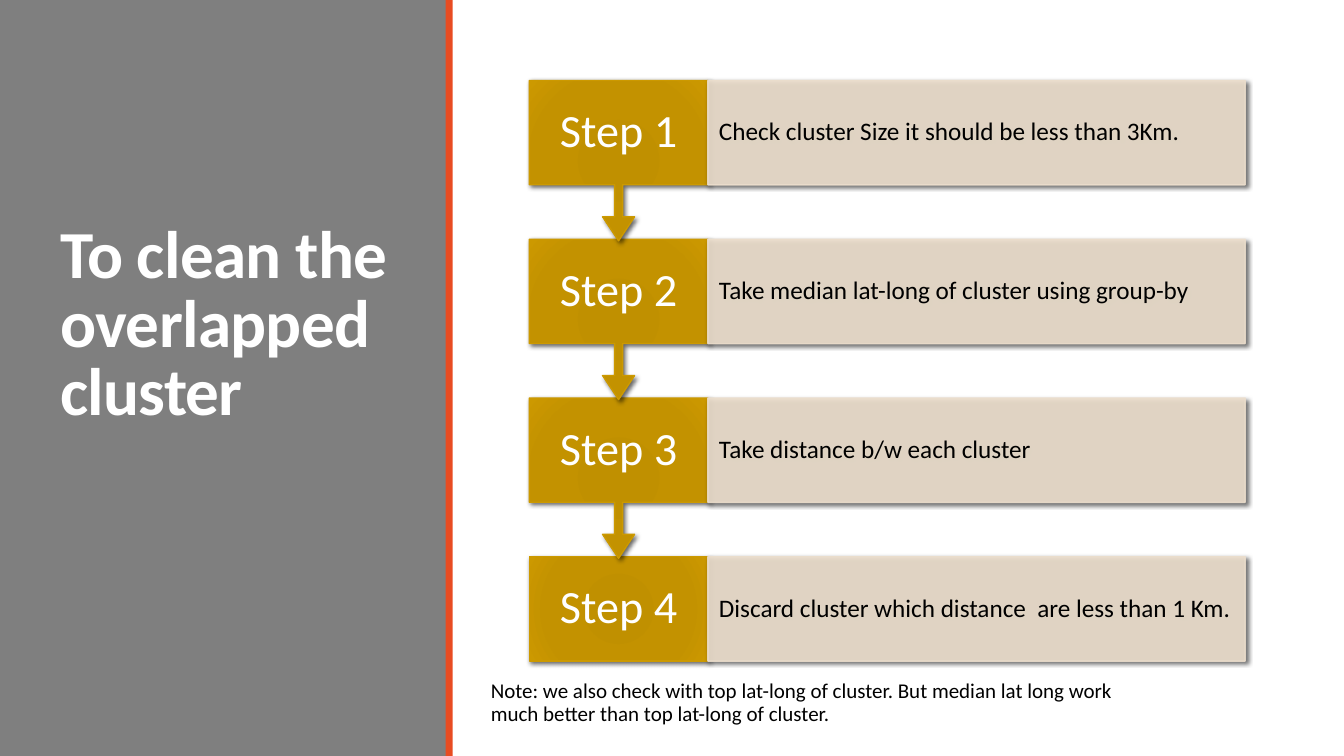
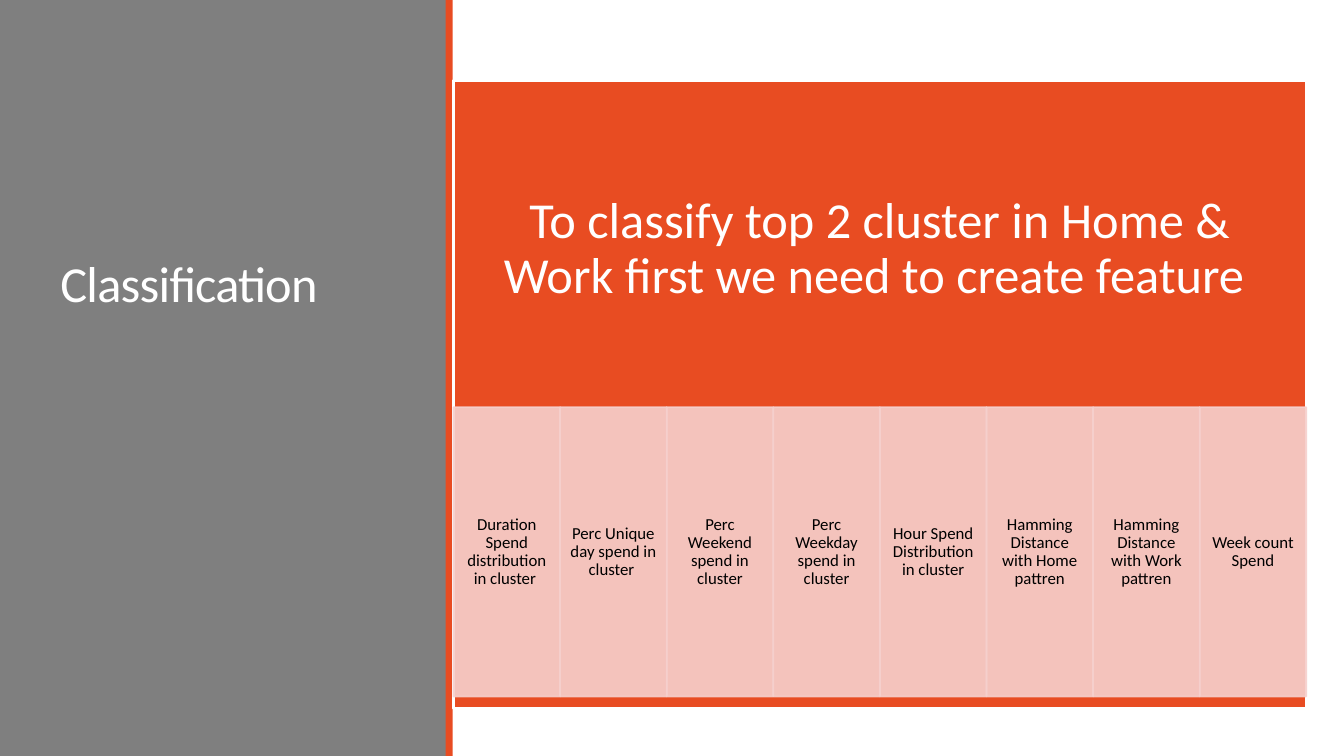
import pptx
import pptx.util
import pptx.dml.color
import pptx.enum.shapes
import pptx.enum.text
import pptx.oxml
import pptx.oxml.ns

Cm, Pt = pptx.util.Cm, pptx.util.Pt
RGB = pptx.dml.color.RGBColor.from_string
qn = pptx.oxml.ns.qn
PRESET = pptx.enum.shapes.MSO_SHAPE
ANCHOR = pptx.enum.text.MSO_ANCHOR
ALIGN = pptx.enum.text.PP_ALIGN

COLORS = {
    "panel": "7F7F7F",
    "accent": "E84C22",
    "gold": "CC9900",
    "sand": "ECDECC",
    "pink": "F6D0CD",
    "white": "FFFFFF",
    "black": "000000",
}
FONT = "Calibri"
GOLD_STOPS = [(0, "BE8F00"), (34, "C09000"), (70, "C39200"), (100, COLORS["gold"])]
NAMESPACE = pptx.oxml.ns.nsdecls("a")


def write(frame, text, size, color, align=ALIGN.LEFT, anchor=ANCHOR.MIDDLE,
          insets=(0.25, 0.13, 0.25, 0.13), spacing=0.9):
    frame.word_wrap = True
    frame.auto_size = pptx.enum.text.MSO_AUTO_SIZE.NONE
    frame.vertical_anchor = anchor
    frame.margin_left, frame.margin_top, frame.margin_right, frame.margin_bottom = map(Cm, insets)
    frame.text = text
    paragraph = frame.paragraphs[0]
    paragraph.alignment = align
    paragraph.line_spacing = spacing
    paragraph.font.name = FONT
    paragraph.font.size = Pt(size)
    paragraph.font.color.rgb = RGB(COLORS[color])
    return paragraph


def add_box(slide, preset, place, fill, line=None, width=1, alpha=100, blur=0):
    box = slide.shapes.add_shape(preset, *map(Cm, place))
    box.shadow.inherit = False
    box.fill.solid()
    box.fill.fore_color.rgb = RGB(COLORS[fill])
    if line:
        box.line.color.rgb = RGB(COLORS[line])
        box.line.width = Pt(width)
    else:
        box.line.fill.background()
    properties = box.element.spPr
    if alpha < 100:
        for color in properties.iter(qn("a:srgbClr")):
            color.append(pptx.oxml.parse_xml(f'<a:alpha {NAMESPACE} val="{alpha * 1000}"/>'))
    if blur:
        properties.find(qn("a:effectLst")).append(pptx.oxml.parse_xml(
            f'<a:outerShdw {NAMESPACE} blurRad="{Pt(blur)}" dist="{Pt(2)}" dir="2700000" '
            'algn="tl" rotWithShape="0">'
            f'<a:srgbClr val="{COLORS["black"]}"><a:alpha val="60000"/></a:srgbClr></a:outerShdw>'))
    return box


deck = pptx.Presentation()
deck.slide_width, deck.slide_height = Cm(33.87), Cm(19.05)
layout = deck.slide_layouts[5]

titles = [
    ("To clean the overlapped cluster", 48, True, 9.3),
    ("Classification", 36, False, 6.35),
]
slides = []
for text, size, bold, height in titles:
    slide = deck.slides.add_slide(layout)
    title = slide.shapes.title
    title.left, title.top, title.width, title.height = map(Cm, (1.27, 1.65, 8.89, height))
    heading = write(title.text_frame, text, size, "white", anchor=ANCHOR.BOTTOM, spacing=0.85)
    heading.font.bold = bold
    heading.font._rPr.set("spc", "-50")
    slides.append(slide)
steps_slide, features_slide = slides

bands = [((0, 0, 11.25, 19.05), "panel"), ((11.23, 0, 0.18, 19.05), "accent")]
for position, (place, color) in enumerate(bands, start=2):
    band = add_box(steps_slide, PRESET.RECTANGLE, place, color)
    layout.shapes.element.insert(position, band.element)

note = steps_slide.shapes.add_textbox(Cm(12.12), Cm(17.02), Cm(16.59), Cm(1.57))
write(note.text_frame,
      "Note: we also check with top lat-long of cluster. "
      "But median lat long work much better than top lat-long of cluster.",
      15, "black", anchor=ANCHOR.TOP)

steps = [
    "Check cluster Size it should be less than 3Km.",
    "Take median lat-long of cluster using group-by",
    "Take distance b/w each cluster",
    "Discard cluster which distance  are less than 1 Km.",
]
STEP_LEFT, STEP_TOP, STEP_PITCH = 13.34, 2.03, 4
STEP_WIDTH, STEP_HEIGHT, ARROW_HEIGHT = 4.5, 2.63, 4.04
stops = "".join(f'<a:gs pos="{position * 1000}"><a:srgbClr val="{color}"/></a:gs>'
                for position, color in GOLD_STOPS)
for number in range(len(steps), 0, -1):
    top = STEP_TOP + (number - 1) * STEP_PITCH
    last = number == len(steps)
    preset = PRESET.RECTANGLE if last else PRESET.DOWN_ARROW_CALLOUT
    height = STEP_HEIGHT if last else ARROW_HEIGHT
    step = add_box(steps_slide, preset, (STEP_LEFT, top, STEP_WIDTH, height),
                   "gold", "gold", blur=3.5)
    if not last:
        for index, ratio in enumerate((0.05, 0.1, 0.15, 0.65)):
            step.adjustments[index] = ratio
    properties = step.element.spPr
    properties.replace(properties.find(qn("a:solidFill")), pptx.oxml.parse_xml(
        f'<a:gradFill {NAMESPACE} rotWithShape="1"><a:gsLst>{stops}</a:gsLst><a:path path="circle">'
        '<a:fillToRect l="100000" t="100000" r="100000" b="100000"/></a:path></a:gradFill>'))
    write(step.text_frame, f"Step {number}", 33, "white", ALIGN.CENTER,
          insets=(0.33, 0.66, 0.33, 0.66))
    detail = add_box(steps_slide, PRESET.RECTANGLE,
                     (STEP_LEFT + STEP_WIDTH, top, 13.54, STEP_HEIGHT),
                     "sand", "sand", alpha=90, blur=3)
    write(detail.text_frame, steps[number - 1], 18, "black", insets=(0.28, 0.64, 0.28, 0.64))

features = [
    "Duration Spend distribution in cluster ",
    "Perc Unique day spend in cluster ",
    "Perc Weekend spend in cluster",
    "Perc Weekday spend in cluster",
    "Hour Spend Distribution in cluster",
    "Hamming Distance with Home pattren",
    "Hamming Distance with Work pattren",
    "Week count Spend",
]
GOAL_LEFT, GOAL_WIDTH = 11.43, 21.49
goal = add_box(features_slide, PRESET.RECTANGLE, (GOAL_LEFT, 2.03, GOAL_WIDTH, 15.82),
               "accent", "white", 2)
write(goal.text_frame, "To classify top 2 cluster in Home & Work first we need to create feature ",
      36, "white", ALIGN.CENTER, insets=(0.71, 0.71, 0.71, 8))
feature_width = GOAL_WIDTH / len(features)
for index, text in enumerate(features):
    feature = add_box(features_slide, PRESET.RECTANGLE,
                      (GOAL_LEFT + index * feature_width, 10.26, feature_width, 7.29),
                      "pink", "pink", 1.25, alpha=90)
    write(feature.text_frame, text, 12, "black", ALIGN.CENTER, insets=(0.23, 0.05, 0.23, 0.05))

deck.save("out.pptx")
